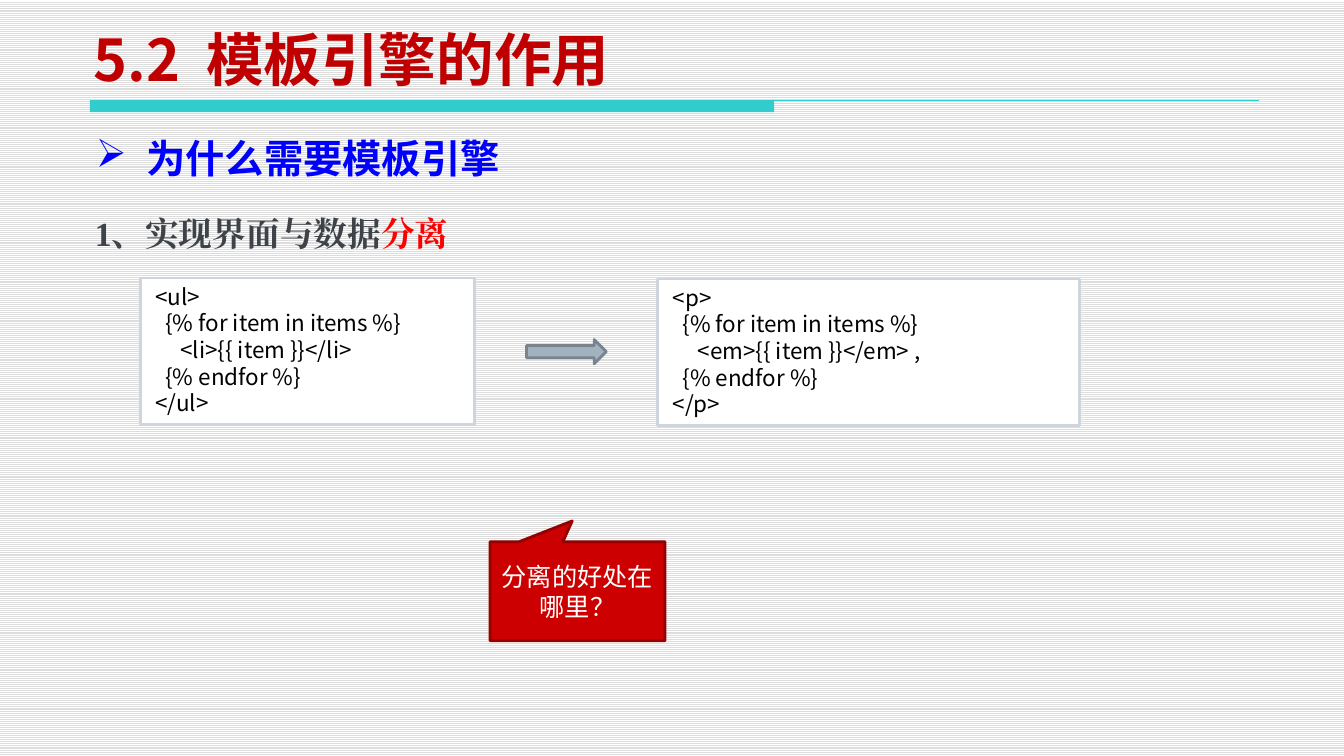
from dataclasses import dataclass
from lxml.etree import SubElement
from pptx import Presentation
from pptx.dml.color import RGBColor
from pptx.enum.dml import MSO_PATTERN
from pptx.enum.shapes import MSO_CONNECTOR, MSO_SHAPE
from pptx.enum.text import MSO_ANCHOR, PP_ALIGN
from pptx.oxml.ns import qn
from pptx.util import Inches, Pt


@dataclass(frozen=True)
class Theme:
    teal: str = "33CCCC"
    title: str = "C00000"
    heading: str = "0000FF"
    body: str = "3E4349"
    accent: str = "FF0000"
    white: str = "FFFFFF"
    black: str = "000000"
    stripe: str = "DDDDDD"
    code_border: str = "CED5DD"
    arrow: str = "A3B2C1"
    arrow_border: str = "79848F"
    callout: str = "CC0000"
    callout_border: str = "970000"
    title_size: float = 41
    heading_size: float = 28
    body_size: float = 24
    callout_size: float = 18
    code_size: float = 16
    code_pitch: float = 19
    sans: str = "Noto Sans CJK SC"
    fallback: str = "DejaVu Sans"
    serif: str = "Times New Roman"


THEME = Theme()
TITLE = ["5.2", " ", "模板引擎的作用"]
HEADING = "为什么需要模板引擎"
POINT = [("1、实现界面与数据", THEME.body), ("分离", THEME.accent)]
CALLOUT = "分离的好处在哪里？"
CODE_BOXES = [
    ((1.39, 2.75, 3.31, 1.45), [
        " <ul>",
        "   {% for item in items %}",
        "      <li>{{ item }}</li>",
        "   {% endfor %}",
        " </ul>",
    ]),
    ((6.51, 2.76, 4.17, 1.45), [
        " <p>",
        "   {% for item in items %}",
        "      <em>{{ item }}</em> ,",
        "   {% endfor %}",
        " </p>",
    ]),
]


def color(value):
    return RGBColor.from_string(value)


def lengths(place):
    return [Inches(value) for value in place]


def add_span(para, text, size, font, fill, bold=False, gap=None):
    span = para.add_run()
    span.text = text
    span.font.size = Pt(size)
    span.font.name = font
    span.font.bold = bold
    span.font.color.rgb = color(fill)
    SubElement(span.font._element, qn("a:ea")).set("typeface", font)
    if gap:
        span.font._element.set("spc", str(gap * 100))


def add_box(page, place, inset=0.1):
    box = page.shapes.add_textbox(*lengths(place))
    frame = box.text_frame
    frame.word_wrap = True
    frame.margin_left = frame.margin_right = Inches(inset)
    return frame.paragraphs[0]


def add_block(page, kind, place, fill, border=None):
    shape = page.shapes.add_shape(kind, *lengths(place))
    shape.shadow.inherit = False
    shape.fill.solid()
    shape.fill.fore_color.rgb = color(fill)
    if border:
        shape.line.color.rgb = color(border)
        shape.line.width = Pt(2)
    else:
        shape.line.fill.background()
    return shape


def add_title(page):
    title = page.shapes.title
    title.left, title.top, title.width, title.height = lengths((0.82, 0.28, 9.69, 0.69))
    frame = title.text_frame
    frame.vertical_anchor = MSO_ANCHOR.BOTTOM
    frame.margin_left = frame.margin_right = Inches(0.11)
    para = frame.paragraphs[0]
    para.alignment = PP_ALIGN.LEFT
    for text in TITLE:
        add_span(para, text, THEME.title_size, THEME.sans, THEME.title,
                 bold=True, gap=9 if text == " " else None)


def add_rule(page):
    left, top, right = 0.89, 0.99, 12.46
    add_block(page, MSO_SHAPE.RECTANGLE, (left, top, 6.77, 0.12), THEME.teal)
    rule = page.shapes.add_connector(MSO_CONNECTOR.STRAIGHT, *lengths((left, top, right, top)))
    rule.line.color.rgb = color(THEME.teal)
    rule.line.width = Pt(0.75)
    SubElement(rule._element.spPr, qn("a:effectLst"))


def add_heading(page):
    para = add_box(page, (0.84, 1.28, 8.5, 0.58), inset=0.11)
    para.alignment = PP_ALIGN.JUSTIFY
    properties = para._p.get_or_add_pPr()
    properties.set("marL", str(Inches(0.5)))
    properties.set("indent", str(Inches(-0.5)))
    SubElement(properties, qn("a:buChar")).set("char", "➢")
    add_span(para, HEADING, THEME.heading_size, THEME.fallback, THEME.heading, bold=True)


def add_point(page):
    para = add_box(page, (0.84, 1.86, 9.84, 0.64))
    para.line_spacing = 1.5
    for text, fill in POINT:
        add_span(para, text, THEME.body_size, THEME.serif, fill, bold=True)


def add_code(page, place, lines):
    shape = add_block(page, MSO_SHAPE.RECTANGLE, place, THEME.white, THEME.code_border)
    frame = shape.text_frame
    frame.vertical_anchor = MSO_ANCHOR.TOP
    for index, line in enumerate(lines):
        para = frame.add_paragraph() if index else frame.paragraphs[0]
        para.alignment = PP_ALIGN.LEFT
        para.line_spacing = Pt(THEME.code_pitch)
        add_span(para, line, THEME.code_size, THEME.sans, THEME.black)


def add_callout(page):
    shape = add_block(page, MSO_SHAPE.RECTANGULAR_CALLOUT, (4.85, 5.36, 1.73, 0.98),
                      THEME.callout, THEME.callout_border)
    shape.adjustments[0] = -0.03
    shape.adjustments[1] = -0.71
    shape.text_frame.vertical_anchor = MSO_ANCHOR.MIDDLE
    para = shape.text_frame.paragraphs[0]
    para.alignment = PP_ALIGN.CENTER
    add_span(para, CALLOUT, THEME.callout_size, THEME.fallback, THEME.white)


def main():
    deck = Presentation()
    deck.slide_width, deck.slide_height = lengths((13.3, 7.48))
    page = deck.slides.add_slide(deck.slide_layouts[5])
    background = page.background.fill
    background.patterned()
    background.pattern = MSO_PATTERN.LIGHT_HORIZONTAL
    background.fore_color.rgb = color(THEME.stripe)
    background.back_color.rgb = color(THEME.white)
    add_rule(page)
    add_title(page)
    add_heading(page)
    add_point(page)
    for place, lines in CODE_BOXES:
        add_code(page, place, lines)
    add_block(page, MSO_SHAPE.RIGHT_ARROW, (5.21, 3.36, 0.79, 0.24),
              THEME.arrow, THEME.arrow_border)
    add_callout(page)
    deck.save("out.pptx")


if __name__ == "__main__":
    main()
